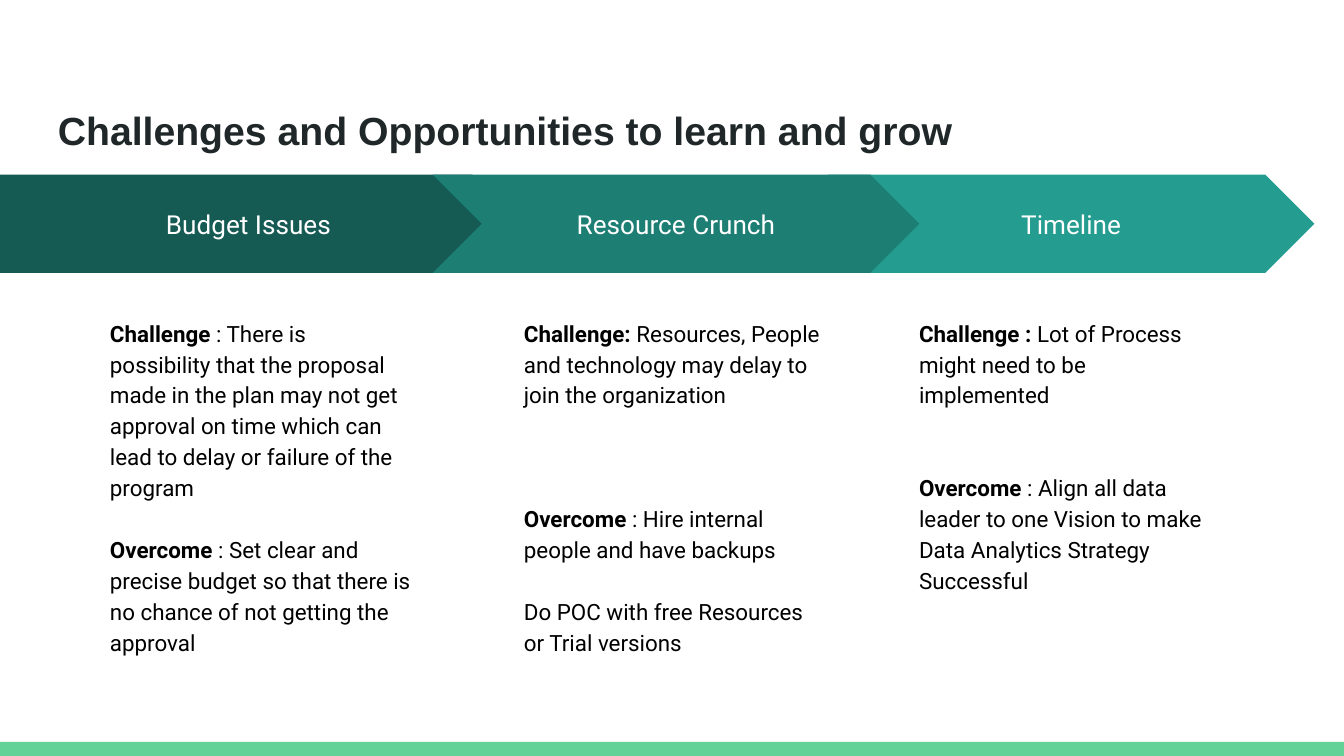
import dataclasses
import pptx
import pptx.dml.color
import pptx.enum.shapes
import pptx.enum.text
import pptx.util

Inches = pptx.util.Inches
Pt = pptx.util.Pt
Kind = pptx.enum.shapes.MSO_SHAPE
Align = pptx.enum.text.PP_ALIGN
Anchor = pptx.enum.text.MSO_ANCHOR
Fit = pptx.enum.text.MSO_AUTO_SIZE


@dataclasses.dataclass(frozen=True)
class Theme:
    ink: str = "202729"
    text: str = "000000"
    light: str = "FFFFFF"
    base: str = "63D297"
    dark: str = "155B54"
    mid: str = "1D7E74"
    teal: str = "249C90"
    head: int = 21
    label: int = 14
    body: int = 12
    line: float = 16.55
    sans: str = "Arial"
    font: str = "Roboto"


THEME = Theme()

STEPS = [
    ("Timeline", Kind.CHEVRON, THEME.teal, (6.16, 3.62), 6.74, [
        (0, "Challenge : ", "Lot of Process might need to be implemented"),
        (2, "Overcome", " : Align all data leader to one Vision to make "
         "Data Analytics Strategy Successful"),
    ]),
    ("Budget Issues", Kind.PENTAGON, THEME.dark, (0, 3.88), 0.72, [
        (0, "Challenge", " : There is possibility that the proposal made in "
         "the plan may not get approval on time which can lead to delay or "
         "failure of the program"),
        (1, "Overcome", " : Set clear and precise budget so that there is "
         "no chance of not getting the approval"),
    ]),
    ("Resource Crunch", Kind.CHEVRON, THEME.mid, (3.22, 3.62), 3.8, [
        (0, "Challenge: ", "Resources, People and technology may delay to "
         "join the organization"),
        (3, "Overcome", " : Hire internal people and have backups"),
        (1, "", "Do POC with free Resources or Trial versions"),
    ]),
]


def apply(item, form):
    for name, value in form.items():
        setattr(item, name, value)


def place(item, left, top, width, height):
    apply(item, {"left": Inches(left), "top": Inches(top),
                 "width": Inches(width), "height": Inches(height)})


def frame(item, **form):
    pad = Inches(0.1)
    apply(item.text_frame, {
        "word_wrap": True, "margin_left": pad, "margin_right": pad,
        "margin_top": pad, "margin_bottom": pad, **form})
    return item.text_frame


def write(para, text, color, size, font, bold=False):
    run = para.add_run()
    run.text = text
    apply(run.font, {"name": font, "size": Pt(size), "bold": bold})
    run.font.color.rgb = pptx.dml.color.RGBColor.from_string(color)


def block(slide, kind, color, *spot):
    item = slide.shapes.add_shape(kind, *map(Inches, spot))
    item.shadow.inherit = False
    item.fill.solid()
    item.fill.fore_color.rgb = pptx.dml.color.RGBColor.from_string(color)
    item.line.fill.background()
    return item


def title(slide, text):
    item = slide.shapes.title
    place(item, 0.33, 0.48, 8.77, 1.44)
    area = frame(item, vertical_anchor=Anchor.TOP,
                 auto_size=Fit.SHAPE_TO_FIT_TEXT)
    para = area.paragraphs[0]
    apply(para, {"alignment": Align.LEFT, "line_spacing": 1.6,
                 "space_before": Pt(14)})
    write(para, text, THEME.ink, THEME.head, THEME.sans, True)


def arrow(slide, text, kind, color, left, width):
    item = block(slide, kind, color, left, 1.3, width, 0.73)
    item.adjustments[0] = 0.5
    para = frame(item, vertical_anchor=Anchor.MIDDLE).paragraphs[0]
    para.alignment = Align.CENTER
    write(para, text, THEME.light, THEME.label, THEME.font)


def notes(slide, left, parts):
    item = slide.shapes.add_textbox(*map(Inches, (left, 2.25, 2.44, 2.86)))
    area = frame(item)
    for index, (gap, lead, text) in enumerate(parts):
        para = area.add_paragraph() if index else area.paragraphs[0]
        apply(para, {"line_spacing": 1.15,
                     "space_before": Pt(gap * THEME.line)})
        if lead:
            write(para, lead, THEME.text, THEME.body, THEME.font, True)
        write(para, text, THEME.text, THEME.body, THEME.font)


def main():
    deck = pptx.Presentation()
    wide = Inches(10)
    apply(deck, {"slide_width": wide, "slide_height": wide * 9 // 16})
    slide = deck.slides.add_slide(deck.slide_layouts[5])
    block(slide, Kind.RECTANGLE, THEME.base, 0, 5.52, 10, 0.11)
    for label, kind, color, span, left, parts in STEPS:
        arrow(slide, label, kind, color, *span)
        notes(slide, left, parts)
    title(slide, "Challenges and Opportunities to learn and grow")
    deck.save("out.pptx")


if __name__ == "__main__":
    main()
